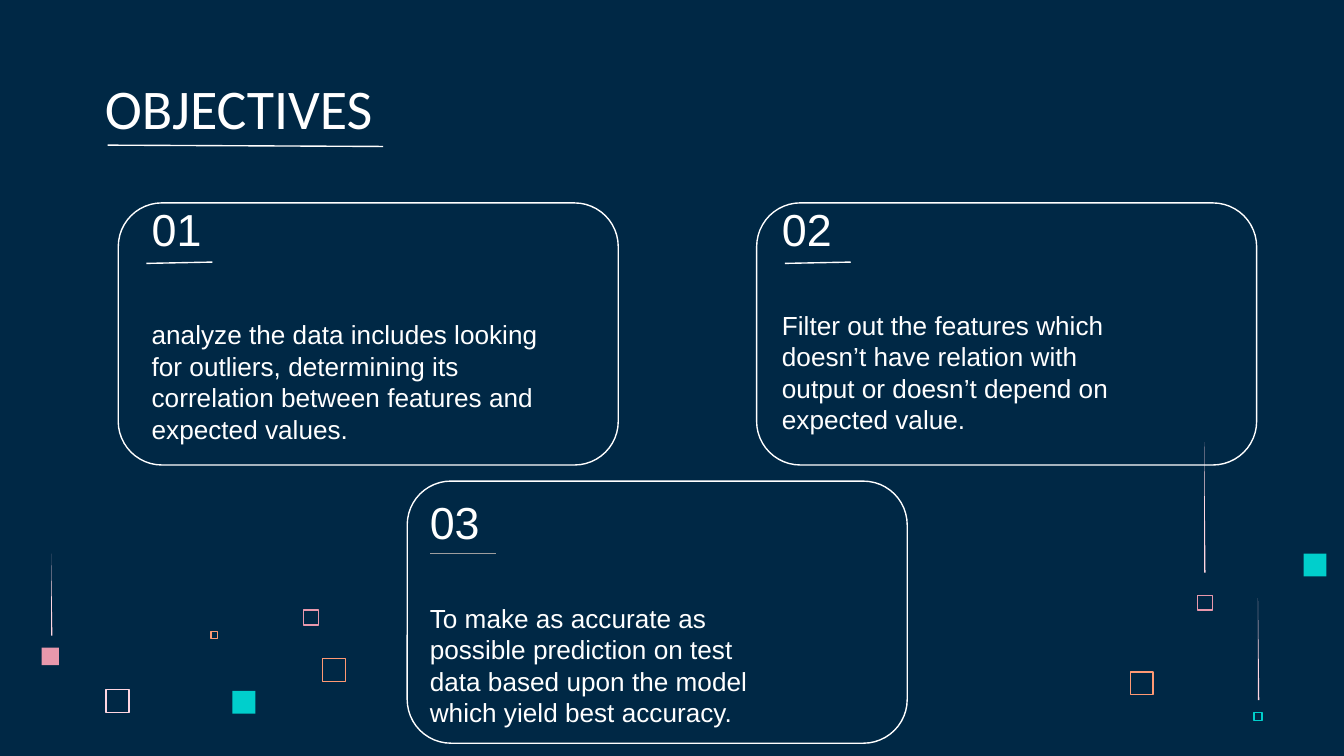
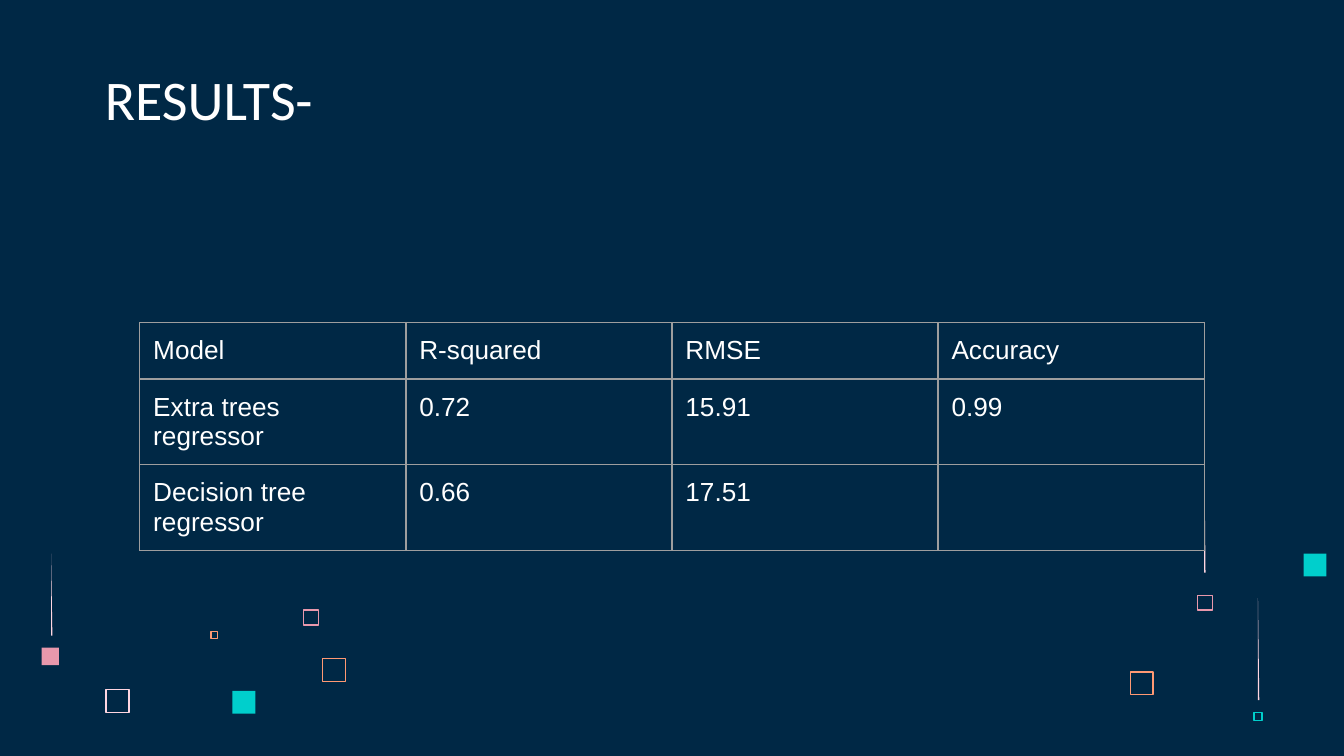
from dataclasses import dataclass

from lxml import etree
from pptx import Presentation
from pptx.dml.color import RGBColor
from pptx.enum.shapes import MSO_CONNECTOR, MSO_SHAPE
from pptx.enum.text import MSO_ANCHOR, MSO_AUTO_SIZE, PP_ALIGN
from pptx.oxml.ns import qn
from pptx.util import Inches, Pt

RECTANGLE = MSO_SHAPE.RECTANGLE
ROUNDED = MSO_SHAPE.ROUNDED_RECTANGLE
STRAIGHT = MSO_CONNECTOR.STRAIGHT
LEFT = PP_ALIGN.LEFT
TOP, BOTTOM = MSO_ANCHOR.TOP, MSO_ANCHOR.BOTTOM
NO_AUTOFIT = MSO_AUTO_SIZE.NONE


@dataclass(frozen=True)
class Theme:
    navy: str = "002845"
    white: str = "FFFFFF"
    gray: str = "9E9E9E"
    blush: str = "FFD6E1"
    pink: str = "E898AC"
    orange: str = "FF9973"
    teal: str = "00CFCC"
    title_font: str = "Calibri"
    body_font: str = "Arial"
    title_size: int = 30
    number_size: int = 24
    body_size: int = 14
    line_width: float = 0.75
    margin: float = 0.1


theme = Theme()


def add_box(slide, kind, place, fill=None, line=None):
    shape = slide.shapes.add_shape(kind, *map(Inches, place))
    shape.shadow.inherit = False
    if fill:
        shape.fill.solid()
        shape.fill.fore_color.rgb = RGBColor.from_string(fill)
    else:
        shape.fill.background()
    if line:
        shape.line.color.rgb = RGBColor.from_string(line)
        shape.line.width = Pt(theme.line_width)
    else:
        shape.line.fill.background()


def style_text(paragraph, font, size):
    paragraph.alignment = LEFT
    paragraph.font.name = font
    paragraph.font.size = Pt(size)
    paragraph.font.color.rgb = RGBColor.from_string(theme.white)


presentation = Presentation()
presentation.slide_width = Inches(10)
presentation.slide_height = Inches(10) * 9 // 16
background = presentation.slide_master.background.fill
background.solid()
background.fore_color.rgb = RGBColor.from_string(theme.navy)
title_only = presentation.slide_layouts[5]

squares = [
    (0.79, 5.13, 0.17, None, theme.blush),
    (2.26, 4.54, 0.11, None, theme.pink),
    (1.57, 4.7, 0.05, None, theme.orange),
    (2.4, 4.9, 0.17, None, theme.orange),
    (1.73, 5.14, 0.17, theme.teal, None),
    (8.91, 4.43, 0.11, None, theme.pink),
    (0.31, 4.82, 0.13, theme.pink, None),
    (9.33, 5.3, 0.06, None, theme.teal),
    (8.41, 5, 0.17, None, theme.orange),
    (9.7, 4.12, 0.17, theme.teal, None),
]
trails = [(8.96, 3.29, 4.26), (0.38, 4.12, 4.73), (9.36, 4.45, 5.21)]

slides = []
for title_text, title_top in [("OBJECTIVES", 0.52), ("RESULTS-", 0.45)]:
    slide = presentation.slides.add_slide(title_only)
    slides.append(slide)
    for left, top, side, fill, line in squares:
        add_box(slide, RECTANGLE, (left, top, side, side), fill, line)
    for left, top, bottom in trails:
        builder = slide.shapes.build_freeform(Inches(left), Inches(top))
        builder.add_line_segments(
            [(Inches(left), Inches(bottom)), (Inches(left + 0.01), Inches(bottom))])
        trail = builder.convert_to_shape()
        trail.shadow.inherit = False
        trail.fill.solid()
        trail.fill.fore_color.rgb = RGBColor.from_string(theme.blush)
        trail.line.fill.background()

    title = slide.shapes.title
    title.left, title.top = Inches(0.68), Inches(title_top)
    title.width, title.height = Inches(2.94), Inches(0.63)
    frame = title.text_frame
    frame.text = title_text
    frame.auto_size = NO_AUTOFIT
    frame.vertical_anchor = BOTTOM
    frame.margin_left = frame.margin_right = Inches(theme.margin)
    frame.margin_top = frame.margin_bottom = Inches(theme.margin)
    style_text(frame.paragraphs[0], theme.title_font, theme.title_size)

objectives, results = slides

cards = [
    ((0.88, 1.51), (1.03, 1.4, 3.28, 2.02), 34, "01",
     "analyze the data includes looking for outliers, determining its "
     "correlation between features and expected values."),
    ((5.63, 1.51), (5.72, 1.4, 2.94, 2.42), 29, "02",
     "Filter out the features which doesn’t have relation with output "
     "or doesn’t depend on expected value."),
    ((3.03, 3.58), (3.1, 3.58, 2.86, 1.95), 29, "03",
     "To make as accurate as possible prediction on test data based upon "
     "the model which yield best accuracy."),
]
for corner, text_place, gap, number, sentence in cards:
    add_box(objectives, ROUNDED, (*corner, 3.72, 1.95), line=theme.white)
    text_box = objectives.shapes.add_textbox(*map(Inches, text_place))
    frame = text_box.text_frame
    frame.word_wrap = True
    frame.vertical_anchor = TOP
    frame.margin_left = frame.margin_right = Inches(theme.margin)
    frame.margin_top = frame.margin_bottom = Inches(theme.margin)
    frame.text = f"{number}\n{sentence}"
    heading, body = frame.paragraphs
    style_text(heading, theme.body_font, theme.number_size)
    style_text(body, theme.body_font, theme.body_size)
    body.space_before = Pt(gap)

underlines = [
    (0.8, 1.08, 2.85, 1.09, theme.white),
    (1.09, 1.96, 1.58, 1.95, theme.white),
    (5.84, 1.96, 6.33, 1.95, theme.white),
    (3.2, 4.12, 3.69, 4.12, theme.gray),
]
for *ends, color in underlines:
    underline = objectives.shapes.add_connector(STRAIGHT, *map(Inches, ends))
    underline.line.color.rgb = RGBColor.from_string(color)
    underline.line.width = Pt(theme.line_width)
    etree.SubElement(underline._element.spPr, qn("a:effectLst"))

scores = [
    ("Model", "R-squared", "RMSE", "Accuracy"),
    ("Extra trees regressor", "0.72", "15.91", "0.99"),
    ("Decision tree regressor", "0.66", "17.51", ""),
]
table = results.shapes.add_table(
    3, 4, Inches(1.04), Inches(2.4), Inches(4 * 1.98), Inches(3 * 0.42)).table
table.first_row = False
table.horz_banding = False
for row, values in enumerate(scores):
    for column, value in enumerate(values):
        cell = table.cell(row, column)
        cell.text = value
        cell.margin_left = cell.margin_right = Inches(theme.margin)
        cell.margin_top = cell.margin_bottom = Inches(theme.margin)
        style_text(cell.text_frame.paragraphs[0], theme.body_font, theme.body_size)
        properties = cell._tc.get_or_add_tcPr()
        for edge in ("a:lnL", "a:lnR", "a:lnT", "a:lnB"):
            border = etree.SubElement(properties, qn(edge), w=str(Pt(theme.line_width)))
            border_fill = etree.SubElement(border, qn("a:solidFill"))
            etree.SubElement(border_fill, qn("a:srgbClr"), val=theme.gray)
        cell.fill.background()

presentation.save("out.pptx")
